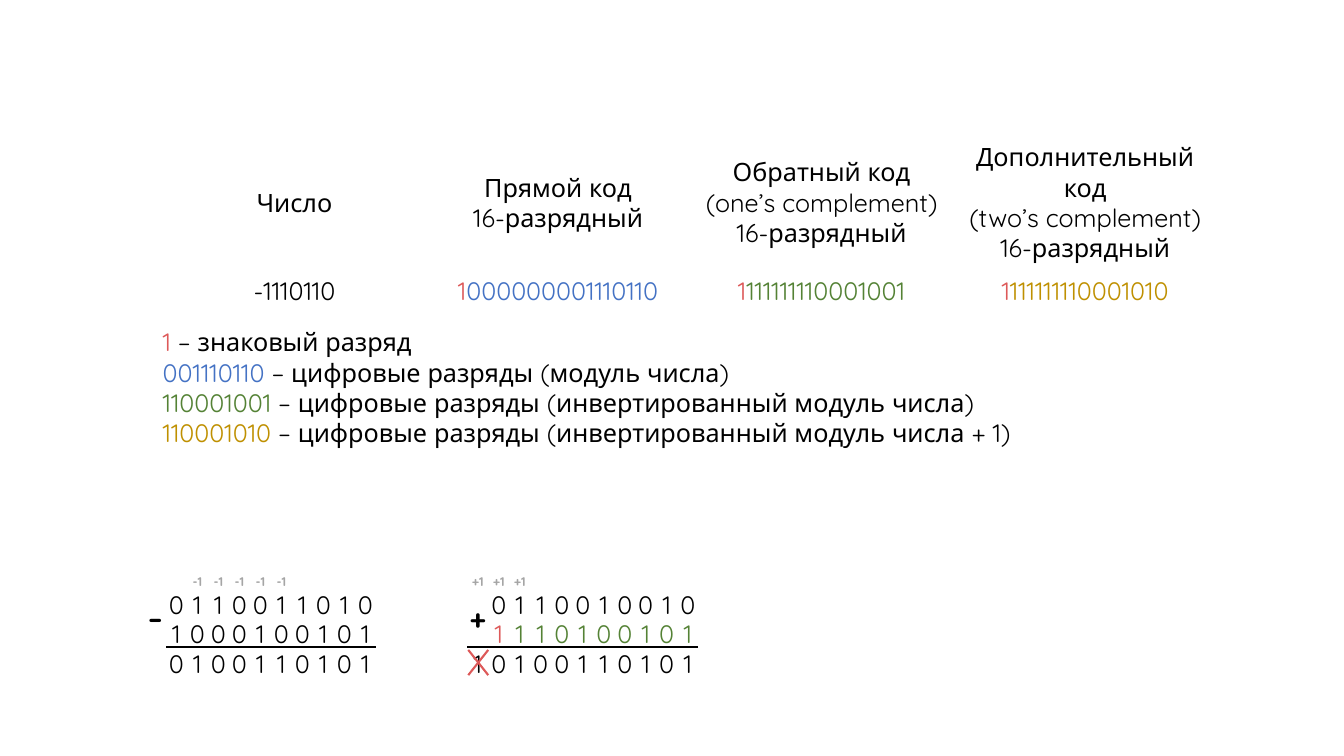
from dataclasses import dataclass

from lxml.etree import SubElement
from pptx import Presentation
from pptx.dml.color import RGBColor
from pptx.enum.shapes import MSO_CONNECTOR
from pptx.enum.text import MSO_ANCHOR, PP_ALIGN
from pptx.oxml.ns import qn
from pptx.util import Pt

EMU_PER_PX = 9525


@dataclass(frozen=True)
class Theme:
    font: str = "Quicksand"
    ink: str = "000000"
    sign_bit: str = "DD5959"
    direct: str = "4472C4"
    inverse: str = "548235"
    complement: str = "BF9000"
    carry: str = "A5A5A5"
    body_size: int = 18
    operator_size: int = 20
    carry_size: int = 9
    line_width: float = 1.5


THEME = Theme()


@dataclass(frozen=True)
class Span:
    text: str
    color: str = THEME.ink
    size: int = THEME.body_size
    bold: bool = False


@dataclass(frozen=True)
class CodeColumn:
    heading: list[str]
    value: list[Span]


@dataclass(frozen=True)
class Calculation:
    """Column arithmetic; a space in a row leaves its cell empty."""
    left: int
    operator: str
    carry: str
    carry_columns: range
    rows: list[str]
    second_row_colors: tuple[str, str]
    rule_start: int


SIGN = Span("1", THEME.sign_bit)

CODE_COLUMNS = [
    CodeColumn(["Число"], [Span("-1110110")]),
    CodeColumn(["Прямой код", "16-разрядный"],
               [SIGN, Span("000000001110110", THEME.direct)]),
    CodeColumn(["Обратный код", "(one’s complement)", "16-разрядный"],
               [SIGN, Span("111111110001001", THEME.inverse)]),
    CodeColumn(["Дополнительный код", "(two’s complement)", "16-разрядный"],
               [SIGN, Span("111111110001010", THEME.complement)]),
]

LEGEND = [
    [SIGN, Span(" – знаковый разряд")],
    [Span("001110110", THEME.direct), Span(" – цифровые разряды (модуль числа)")],
    [Span("110001001", THEME.inverse),
     Span(" – цифровые разряды (инвертированный модуль числа)")],
    [Span("110001010", THEME.complement),
     Span(" – цифровые разряды (инвертированный модуль числа + 1)")],
]

SUBTRACTION = Calculation(
    138, "–", "-1", range(2, 7),
    [" 0110011010", " 1000100101", " 0100110101"], (THEME.ink, THEME.ink), 1)
ADDITION = Calculation(
    445, "+", "+1", range(0, 3),
    [" 0110010010", " 1110100101", "10100110101"],
    (THEME.sign_bit, THEME.inverse), 0)

# Layout in px
TABLE_LEFT, COLUMN_WIDTH = 155, 251
HEADING_TOP, HEADING_HEIGHT = 143, 99
VALUE_TOP, VALUE_HEIGHT = 242, 69
LEGEND_TOP, LEGEND_HEIGHT = 311, 106
CELL_WIDTH, CELL_HEIGHT, CELL_COUNT = 20, 28, 11
DIGITS_TOP, RULE_TOP = 561, 616
CARRY_TOP, CARRY_HEIGHT = 543, 18
OPERATOR_TOP, OPERATOR_HEIGHT = 573, 30
CROSS_TOP, CROSS_BOTTOM = 619, 643


def px(length: int) -> int:
    return length * EMU_PER_PX


def add_text(page, left: int, top: int, width: int, height: int,
             lines: list[list[Span]], anchor=MSO_ANCHOR.TOP,
             align=PP_ALIGN.CENTER) -> None:
    box = page.shapes.add_textbox(px(left), px(top), px(width), px(height))
    frame = box.text_frame
    frame.word_wrap = True
    frame.vertical_anchor = anchor
    frame.margin_left = frame.margin_top = 0
    frame.margin_right = frame.margin_bottom = 0
    for index, line in enumerate(lines):
        para = frame.add_paragraph() if index else frame.paragraphs[0]
        para.alignment = align
        for span in line:
            run = para.add_run()
            run.text = span.text
            run.font.name = THEME.font
            run.font.size = Pt(span.size)
            run.font.bold = span.bold
            run.font.color.rgb = RGBColor.from_string(span.color)


def add_line(parent, start: tuple[int, int], end: tuple[int, int], color: str) -> None:
    line = parent.shapes.add_connector(
        MSO_CONNECTOR.STRAIGHT, *(px(length) for length in start + end))
    line.line.color.rgb = RGBColor.from_string(color)
    line.line.width = Pt(THEME.line_width)
    SubElement(line._element.spPr, qn("a:effectLst"))


def draw_code_columns(page) -> None:
    for index, column in enumerate(CODE_COLUMNS):
        left = TABLE_LEFT + index * COLUMN_WIDTH
        add_text(page, left, HEADING_TOP, COLUMN_WIDTH, HEADING_HEIGHT,
                 [[Span(text)] for text in column.heading], MSO_ANCHOR.MIDDLE)
        add_text(page, left, VALUE_TOP, COLUMN_WIDTH, VALUE_HEIGHT,
                 [column.value], MSO_ANCHOR.MIDDLE)


def draw_calculation(page, calculation: Calculation) -> None:
    # Digits
    for row, digits in enumerate(calculation.rows):
        for column, digit in enumerate(digits):
            if digit == " ":
                continue
            first, rest = calculation.second_row_colors
            color = THEME.ink if row != 1 else first if column == 1 else rest
            add_text(page, calculation.left + column * CELL_WIDTH,
                     DIGITS_TOP + row * CELL_HEIGHT, CELL_WIDTH, CELL_HEIGHT,
                     [[Span(digit, color)]])
    # Carries or borrows
    for column in calculation.carry_columns:
        add_text(page, calculation.left + column * CELL_WIDTH, CARRY_TOP,
                 CELL_WIDTH, CARRY_HEIGHT,
                 [[Span(calculation.carry, THEME.carry, THEME.carry_size, True)]],
                 MSO_ANCHOR.BOTTOM)
    # Operator and rule
    add_text(page, calculation.left, OPERATOR_TOP, CELL_WIDTH, OPERATOR_HEIGHT,
             [[Span(calculation.operator, size=THEME.operator_size, bold=True)]])
    add_line(page, (calculation.left + CELL_COUNT * CELL_WIDTH, RULE_TOP),
             (calculation.left + calculation.rule_start * CELL_WIDTH, RULE_TOP),
             THEME.ink)


def draw_overflow_cross(page) -> None:
    cross = page.shapes.add_group_shape()
    left, right = ADDITION.left + 1, ADDITION.left + CELL_WIDTH
    for start, end in ((left, right), (right, left)):
        add_line(cross, (start, CROSS_BOTTOM), (end, CROSS_TOP), THEME.sign_bit)


def main() -> None:
    deck = Presentation()
    deck.slide_width, deck.slide_height = px(1280), px(720)
    page = deck.slides.add_slide(deck.slide_layouts[6])
    draw_code_columns(page)
    add_text(page, TABLE_LEFT, LEGEND_TOP, COLUMN_WIDTH * len(CODE_COLUMNS),
             LEGEND_HEIGHT, LEGEND, align=PP_ALIGN.LEFT)
    for calculation in (SUBTRACTION, ADDITION):
        draw_calculation(page, calculation)
    draw_overflow_cross(page)
    deck.save("out.pptx")


if __name__ == "__main__":
    main()
